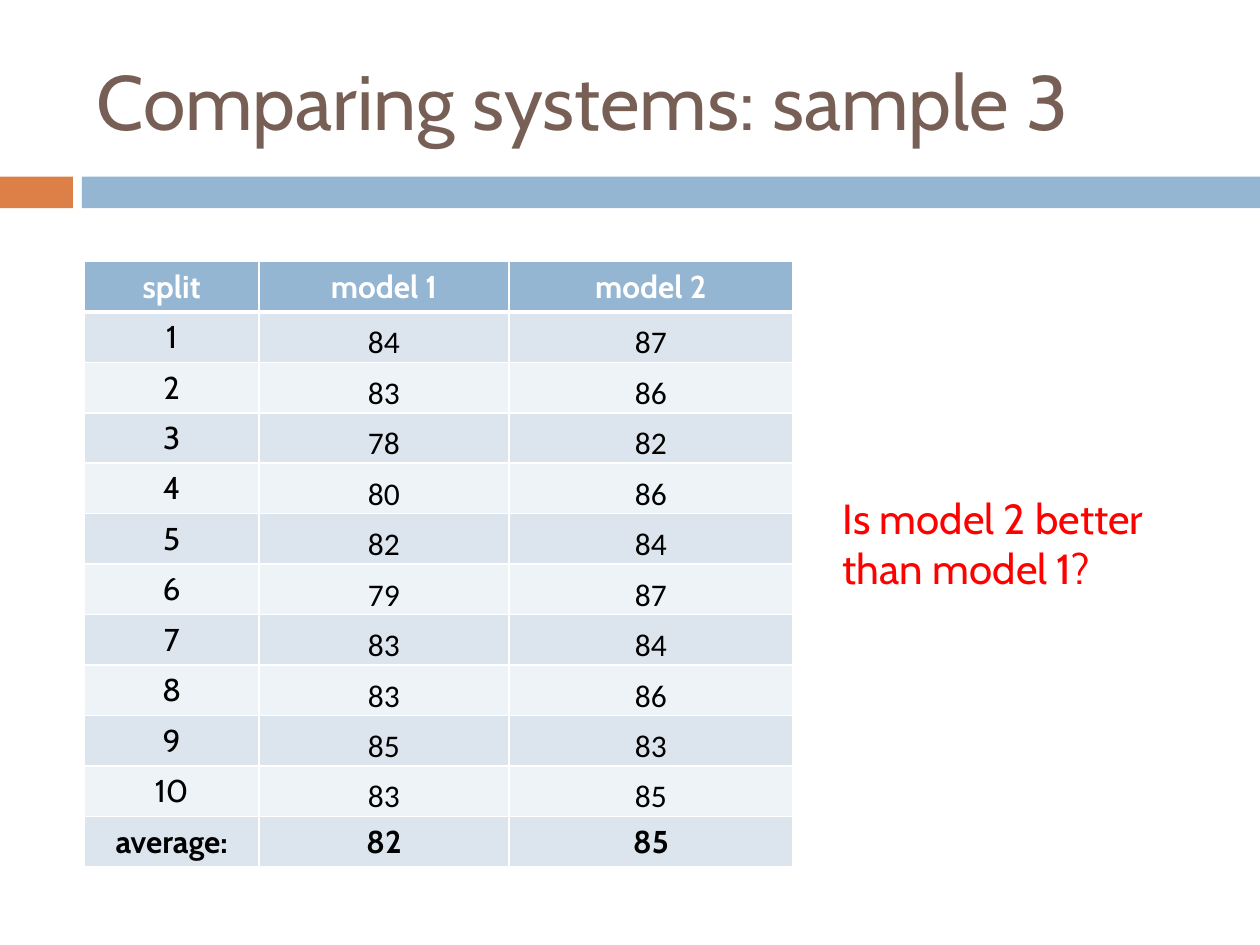
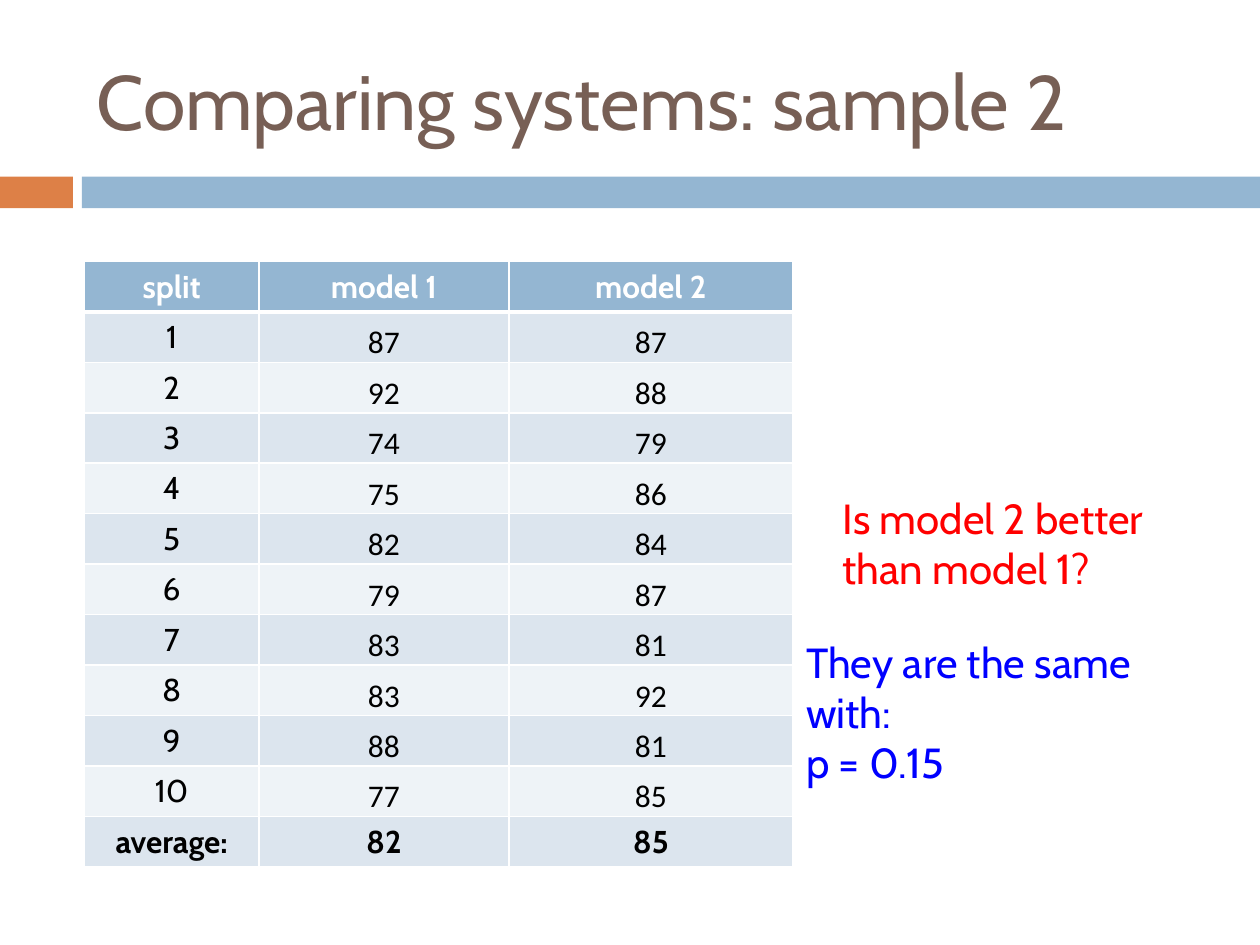
from lxml import etree
from pptx import Presentation
from pptx.dml.color import RGBColor
from pptx.enum.shapes import MSO_SHAPE
from pptx.enum.text import MSO_ANCHOR, PP_ALIGN
from pptx.oxml.ns import qn
from pptx.util import Cm, Pt

RECT = MSO_SHAPE.RECTANGLE
TOP, MIDDLE, BOTTOM = MSO_ANCHOR.TOP, MSO_ANCHOR.MIDDLE, MSO_ANCHOR.BOTTOM
LEFT, CENTER = PP_ALIGN.LEFT, PP_ALIGN.CENTER

COLORS = {
    "title": "775F55",
    "accent": "DD8047",
    "band": "94B6D2",
    "odd": "DCE5EE",
    "even": "EEF3F7",
    "white": "FFFFFF",
    "black": "000000",
    "red": "FF0000",
    "blue": "0000FF",
}
HEADS = ["split", "model 1", "model 2"]
WIDTHS = [3.52, 5.04, 5.72]
ROW = 1
QUERY = "Is model 2 better than model 1?"

SAMPLES = [
    {
        "title": "Comparing systems: sample 3",
        "first": [84, 83, 78, 80, 82, 79, 83, 83, 85, 83],
        "second": [87, 86, 82, 86, 84, 87, 84, 86, 83, 85],
        "answer": None,
    },
    {
        "title": "Comparing systems: sample 2",
        "first": [87, 92, 74, 75, 82, 79, 83, 83, 88, 77],
        "second": [87, 88, 79, 86, 84, 87, 81, 92, 81, 85],
        "answer": "They are the same with:\np = 0.15",
    },
]


def color(name):
    return RGBColor.from_string(COLORS[name])


def write(frame, text, size=18, font="Cabin", ink="black", bold=False, align=LEFT):
    frame.word_wrap = True
    frame.text = text
    for para in frame.paragraphs:
        para.alignment = align
        for run in para.runs:
            run.font.size = Pt(size)
            run.font.name = font
            run.font.bold = bold
            run.font.color.rgb = color(ink)


def border(cell, **widths):
    props = cell._tc.get_or_add_tcPr()
    for side in "LRTB":
        line = etree.SubElement(props, qn(f"a:ln{side}"), w=str(Pt(widths.get(side, 1))))
        fill = etree.SubElement(line, qn("a:solidFill"))
        etree.SubElement(fill, qn("a:srgbClr"), val=COLORS["white"])


class Deck:
    def __init__(self):
        self.show = Presentation()
        self.show.slide_width = Cm(25.4)
        self.show.slide_height = Cm(19.05)
        self.slide = None

    def start(self, title):
        self.slide = self.show.slides.add_slide(self.show.slide_layouts[6])
        self.bar(0, 1.47, "accent")
        self.bar(1.65, 23.75, "band")
        self.text(title, 1.7, 0.64, 22.66, 2.74, anchor=MIDDLE, size=44, ink="title")

    def bar(self, left, width, fill):
        shape = self.slide.shapes.add_shape(RECT, Cm(left), Cm(3.56), Cm(width), Cm(0.64))
        shape.shadow.inherit = False
        shape.fill.solid()
        shape.fill.fore_color.rgb = color(fill)
        shape.line.fill.background()

    def text(self, text, left, top, width, height, anchor=TOP, **style):
        box = self.slide.shapes.add_textbox(Cm(left), Cm(top), Cm(width), Cm(height))
        box.text_frame.vertical_anchor = anchor
        write(box.text_frame, text, **style)

    def cell(self, cell, text, fill, **style):
        cell.fill.solid()
        cell.fill.fore_color.rgb = color(fill)
        write(cell.text_frame, text, align=CENTER, **style)

    def table(self, first, second):
        scores = list(zip(range(1, len(first) + 1), first, second))
        means = [sum(vals) // len(vals) for vals in (first, second)]
        rows = [HEADS, *scores, ["average:", *means]]
        last = len(rows) - 1
        table = self.slide.shapes.add_table(
            len(rows), len(HEADS), Cm(1.7), Cm(5.27), Cm(sum(WIDTHS)), Cm(ROW * len(rows))
        ).table
        table.horz_banding = False
        for col, width in zip(table.columns, WIDTHS):
            col.width = Cm(width)
        for r, row in enumerate(rows):
            table.rows[r].height = Cm(ROW)
            for c, value in enumerate(row):
                cell = table.cell(r, c)
                border(cell, T=3 if r == 1 else 1, B=3 if r == 0 else 1)
                if r == 0:
                    self.cell(cell, value, "band", ink="white", bold=True)
                    continue
                score = c > 0 and r < last
                if score:
                    cell.vertical_anchor = BOTTOM
                    cell.margin_left = cell.margin_right = cell.margin_top = Cm(0.03)
                    cell.margin_bottom = 0
                self.cell(
                    cell,
                    str(value),
                    "odd" if r % 2 else "even",
                    font="Calibri" if score else "Cabin",
                    bold=r == last,
                )


def main():
    deck = Deck()
    for item in SAMPLES:
        deck.start(item["title"])
        deck.table(item["first"], item["second"])
        deck.text(QUERY, 16.74, 9.8, 7.6, 2.31, size=24, ink="red")
        if item["answer"]:
            deck.text(item["answer"], 16, 12.7, 8.56, 2.31, size=24, ink="blue")
    deck.show.save("out.pptx")


if __name__ == "__main__":
    main()
